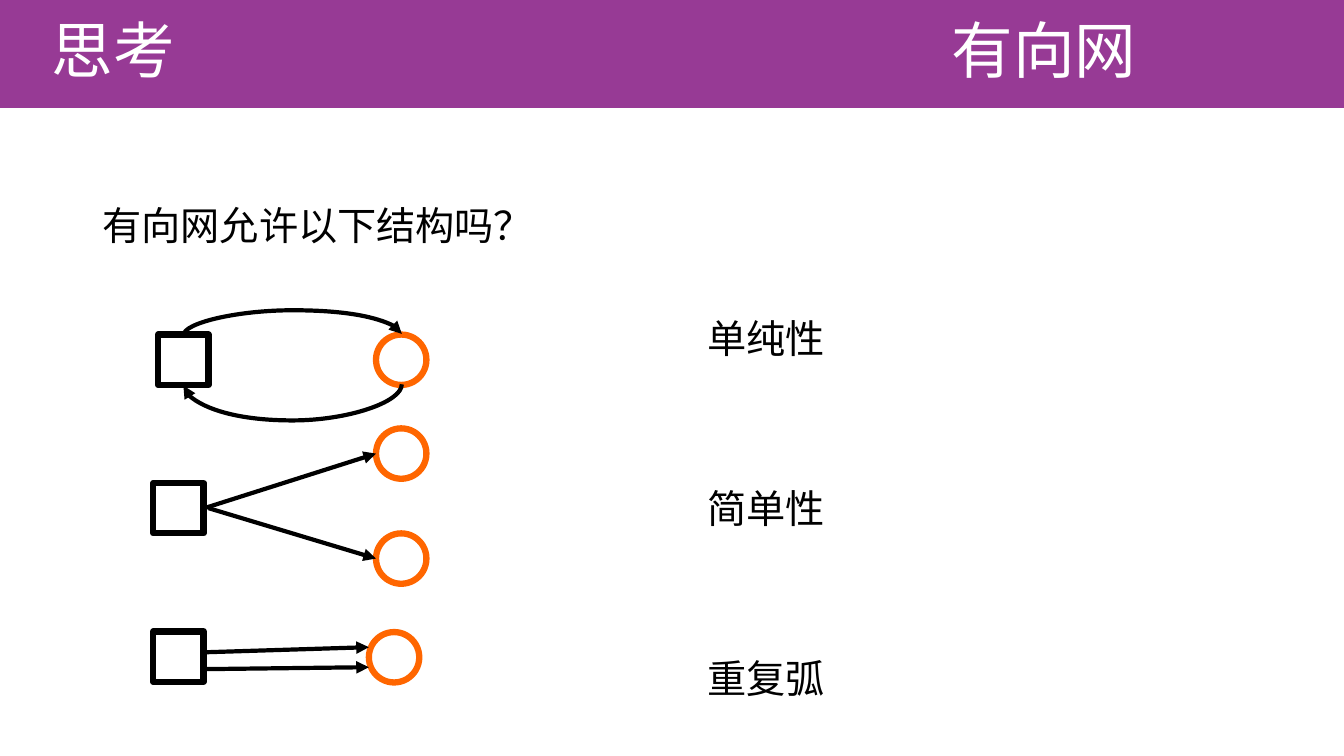
"""Build the slide asking which structures a directed net allows."""
from lxml.etree import SubElement
from pptx import Presentation
from pptx.dml.color import RGBColor
from pptx.enum.shapes import MSO_CONNECTOR, MSO_SHAPE
from pptx.enum.text import MSO_ANCHOR, MSO_AUTO_SIZE, PP_ALIGN
from pptx.oxml.ns import qn
from pptx.util import Pt

COLORS = {"band": "973A95", "white": "FFFFFF", "black": "000000", "place": "FF6600"}
HEAD = "Noto Sans CJK SC"
BODY = "Arial"
TITLE = "有向网"
TOPIC = "思考"
LINES = [
    ("有向网允许以下结构吗？", 0, 0),
    ("单纯性", 432, 50.5),
    ("简单性", 432, 91),
    ("重复弧", 432, 91),
]
SIDE = 36
PLACES = [(268.6, 239), (268.6, 306), (268.6, 381), (263.5, 451.5)]
STEPS = [(113, 239), (109.5, 345), (109.5, 451)]
ARCS = [
    ((146, 363), (268.6, 324)),
    ((149, 363), (268.6, 399)),
    ((144, 466), (263.5, 462.3)),
    ((144, 478), (263.5, 476.6)),
]
CURVES = [
    ((287, 274.5), (131, 275.5), 26),
    ((131, 239.5), (287, 238.5), 18),
]


def color(name):
    return RGBColor.from_string(COLORS[name])


def place(shape, left, top, width, height):
    shape.left, shape.top = Pt(left), Pt(top)
    shape.width, shape.height = Pt(width), Pt(height)


def style(para, size, face, tone):
    para.line_spacing = 0.9
    for run in para.runs:
        run.font.size = Pt(size)
        run.font.name = face
        run.font.color.rgb = color(tone)


def head(shape, text, align):
    frame = shape.text_frame
    frame.text = text
    frame.word_wrap = True
    frame.auto_size = MSO_AUTO_SIZE.NONE
    frame.vertical_anchor = MSO_ANCHOR.MIDDLE
    para = frame.paragraphs[0]
    para.alignment = align
    style(para, 44, HEAD, "white")
    props = para.runs[0].font._element
    SubElement(props, qn("a:ea")).set("typeface", HEAD)


def node(slide, kind, spot, tone):
    shape = slide.shapes.add_shape(kind, Pt(spot[0]), Pt(spot[1]), Pt(SIDE), Pt(SIDE))
    shape.shadow.inherit = False
    shape.fill.solid()
    shape.fill.fore_color.rgb = color("white")
    shape.line.color.rgb = color(tone)
    shape.line.width = Pt(4.5)


def arrow(slide, kind, start, end):
    link = slide.shapes.add_connector(kind, *map(Pt, start + end))
    link.line.color.rgb = color("black")
    link.line.width = Pt(3)
    SubElement(link.line._get_or_add_ln(), qn("a:tailEnd")).set("type", "triangle")
    SubElement(link._element.spPr, qn("a:effectLst"))
    return link


def curve(slide, start, end, bulge):
    mid = [(a + b) / 2 for a, b in zip(start, end)]
    turned = [
        (mid[0] + y - mid[1], mid[1] - x + mid[0]) for x, y in (start, end)
    ]
    props = arrow(slide, MSO_CONNECTOR.CURVE, *turned)._element.spPr
    props.find(qn("a:xfrm")).set("rot", "5400000")
    guide = SubElement(props.find(qn("a:prstGeom")).find(qn("a:avLst")), qn("a:gd"))
    guide.set("name", "adj1")
    guide.set("fmla", f"val {bulge * 100000}")


def fill_body(shape):
    place(shape, 66, 144, 828, 396)
    frame = shape.text_frame
    frame.text = "\n".join(text for text, _, _ in LINES)
    frame.word_wrap = True
    frame.auto_size = MSO_AUTO_SIZE.NONE
    frame.vertical_anchor = MSO_ANCHOR.TOP
    for para, (_, indent, gap) in zip(frame.paragraphs, LINES):
        props = para._p.get_or_add_pPr()
        props.set("marL", str(Pt(indent)))
        props.set("indent", "0")
        SubElement(props, qn("a:buNone"))
        para.space_before = Pt(gap)
        style(para, 28, BODY, "black")


def main():
    deck = Presentation()
    deck.slide_width, deck.slide_height = Pt(960), Pt(540)
    slide = deck.slides.add_slide(deck.slide_layouts[1])

    band = slide.shapes.add_shape(MSO_SHAPE.RECTANGLE, 0, Pt(-0.7), Pt(960), Pt(77.8))
    band.shadow.inherit = False
    band.fill.solid()
    band.fill.fore_color.rgb = color("band")
    band.line.fill.background()
    band._element.getparent().insert(2, band._element)

    title = slide.shapes.title
    place(title, 579, 0, 240, 77)
    head(title, TITLE, PP_ALIGN.RIGHT)
    fill_body(slide.placeholders[1])

    for spot in PLACES:
        node(slide, MSO_SHAPE.OVAL, spot, "place")
    for spot in STEPS:
        node(slide, MSO_SHAPE.RECTANGLE, spot, "black")
    for start, end, bulge in CURVES:
        curve(slide, start, end, bulge)
    for start, end in ARCS:
        arrow(slide, MSO_CONNECTOR.STRAIGHT, start, end)

    topic = slide.shapes.add_textbox(0, 0, Pt(292), Pt(77))
    topic.text_frame.margin_left = Pt(36.8)
    head(topic, TOPIC, PP_ALIGN.LEFT)
    deck.save("out.pptx")


if __name__ == "__main__":
    main()
